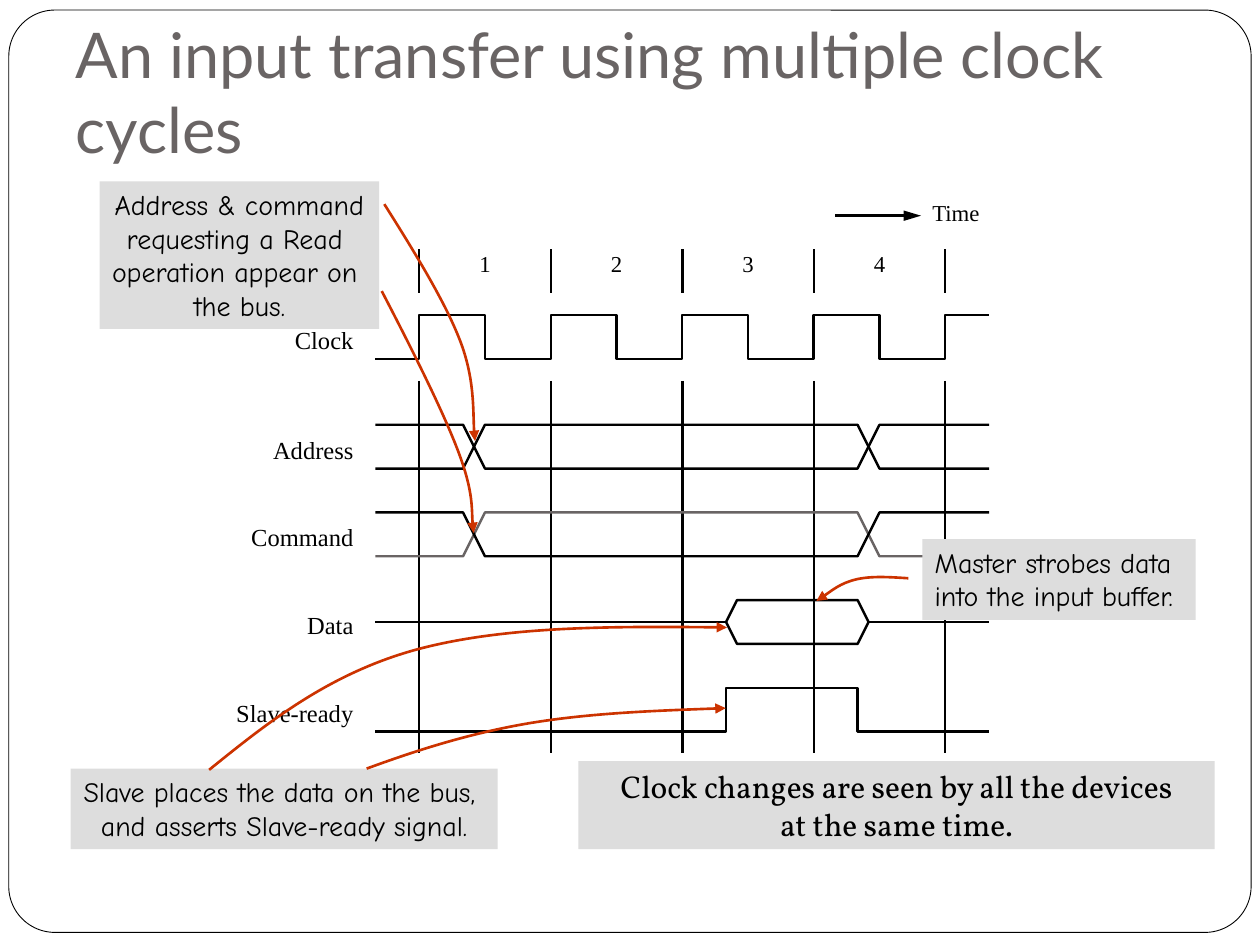
from lxml.etree import SubElement
from pptx import Presentation
from pptx.dml.color import RGBColor
from pptx.enum.shapes import MSO_CONNECTOR as CONNECTOR, MSO_SHAPE as SHAPE
from pptx.enum.text import MSO_ANCHOR as ANCHOR, MSO_AUTO_SIZE as AUTO, PP_ALIGN as ALIGN
from pptx.oxml.ns import qn
from pptx.util import Inches, Pt

COLORS = {"ink": "000000", "muted": "696464", "panel": "DDDDDD",
          "arrow": "CC3300", "paper": "FFFFFF"}
SERIF, HAND, DISPLAY, HEADING = "Times New Roman", "Comic Neue", "Vollkorn", "Lato"
SIGNAL_WIDTH = 1.39


def rgb(name):
    return RGBColor.from_string(COLORS[name])


def box(*lengths):
    return [Inches(length) for length in lengths]


def style_line(shape, color, width):
    shape.line.color.rgb = rgb(color)
    shape.line.width = Pt(width)


def add_arrowhead(shape, length="med"):
    SubElement(shape.line._get_or_add_ln(), qn("a:tailEnd"),
               type="triangle", w="med", len=length)


def write(frame, lines, font, size, color="ink", align=ALIGN.LEFT):
    for index, line in enumerate(lines):
        paragraph = frame.add_paragraph() if index else frame.paragraphs[0]
        paragraph.alignment = align
        run = paragraph.add_run()
        run.text = line
        run.font.name = font
        run.font.size = Pt(size)
        run.font.color.rgb = rgb(color)


def add_label(slide, text, left, top, width, height, size, align):
    frame = slide.shapes.add_textbox(left, top, width, height).text_frame
    frame.margin_left = frame.margin_right = frame.margin_top = frame.margin_bottom = 0
    frame.word_wrap = True
    write(frame, [text], SERIF, size, align=align)


def add_segment(slide, start, end):
    segment = slide.shapes.add_connector(CONNECTOR.STRAIGHT, *start, *end)
    style_line(segment, "ink", SIGNAL_WIDTH)
    SubElement(segment._element.spPr, qn("a:effectLst"))
    return segment


def add_outline(slide, points, color="ink", width=SIGNAL_WIDTH, close=False):
    builder = slide.shapes.build_freeform(*points[0])
    builder.add_line_segments(points[1:], close=close)
    outline = builder.convert_to_shape()
    outline.shadow.inherit = False
    outline.fill.background()
    style_line(outline, color, width)
    return outline


def add_curved_arrow(slide, points):
    arrow = add_outline(slide, points, "arrow", 1.5)
    lines = list(arrow._element.iter(qn("a:lnTo")))
    for start in range(0, len(lines), 3):
        curve = SubElement(lines[start].getparent(), qn("a:cubicBezTo"))
        for line in lines[start:start + 3]:
            curve.append(line[0])
            line.getparent().remove(line)
    add_arrowhead(arrow)


def add_frame(slide, left, top, width, height):
    frame = slide.shapes.add_shape(SHAPE.ROUNDED_RECTANGLE, left, top, width, height)
    frame.adjustments[0] = 0.05
    frame.shadow.inherit = False
    frame.fill.solid()
    frame.fill.fore_color.rgb = rgb("paper")
    style_line(frame, "ink", 0.5)
    slide.shapes._spTree.insert(2, frame._element)


def add_title(slide, left, top, width, height):
    title = slide.shapes.title
    title.left, title.top, title.width, title.height = left, top, width, height
    frame = title.text_frame
    frame.margin_left = frame.margin_right = frame.margin_bottom = Inches(0.1)
    frame.margin_top = Inches(0.05)
    frame.word_wrap = True
    frame.auto_size = AUTO.NONE
    frame.vertical_anchor = ANCHOR.BOTTOM
    write(frame, ["An input transfer using multiple clock cycles"], HEADING, 36, "muted")


def add_time_axis(slide, left, top, width, height):
    middle = top + height * 3 // 5
    shaft = add_segment(slide, (left, middle), (left + Inches(0.68), middle))
    add_arrowhead(shaft, "lg")
    label_left = left + Inches(0.77)
    add_label(slide, "Time", label_left, top, left + width - label_left, height,
              13, ALIGN.LEFT)


def add_timing_diagram(slide, left, top, width, height):
    columns, rows, cycle = 28, 23, 6

    def at(column, row):
        return int(left + width * column / columns), int(top + height * row / rows)

    def trace(*points, **options):
        add_outline(slide, [at(*point) for point in points], **options)

    def segment(start, end):
        add_segment(slide, at(*start), at(*end))

    edges = [2 + cycle * index for index in range(5)]
    for edge in edges:
        segment((edge, 0), (edge, 2))
        segment((edge, 6), (edge, rows))
    label_width = Inches(0.4)
    for number, edge in enumerate(edges[:-1], 1):
        center, label_top = at(edge + cycle / 2, 0)
        add_label(slide, str(number), center - label_width // 2, label_top,
                  label_width, Inches(0.22), 13, ALIGN.CENTER)

    clock = [(0, 5)]
    for edge in edges[:-1]:
        clock += [(edge, 5), (edge, 3), (edge + 3, 3), (edge + 3, 5)]
    trace(*clock, (edges[-1], 5), (edges[-1], 3), (columns, 3))

    for high, low_color in ((8, "ink"), (12, "muted")):
        low = high + 2
        for outer, inner, color in ((low, high, low_color), (high, low, "ink")):
            trace((0, outer), (4, outer), (5, inner), (22, inner), (23, outer),
                  (columns, outer), color=color)

    segment((0, 17), (16, 17))
    segment((22.5, 17), (columns, 17))
    trace((16, 17), (16.5, 16), (22, 16), (22.5, 17), (22, 18), (16.5, 18), close=True)
    trace((0, 22), (16, 22), (16, 20), (22, 20), (22, 22), (columns, 22))

    signals = {"Clock": 3, "Address": 8, "Command": 12, "Data": 16, "Slave-ready": 20}
    name_width = Inches(1.2)
    for name, row in signals.items():
        x, y = at(-1, row)
        add_label(slide, name, x - name_width, y + Inches(0.08), name_width,
                  Inches(0.23), 14, ALIGN.RIGHT)


def add_callout(slide, left, top, width, height, lines, arrows=(),
                font=HAND, size=16, align=ALIGN.CENTER):
    panel = slide.shapes.add_shape(SHAPE.RECTANGLE, left, top, width, height)
    panel.shadow.inherit = False
    panel.fill.solid()
    panel.fill.fore_color.rgb = rgb("panel")
    panel.line.fill.background()
    frame = panel.text_frame
    frame.word_wrap = False
    frame.auto_size = AUTO.SHAPE_TO_FIT_TEXT
    frame.vertical_anchor = ANCHOR.TOP
    write(frame, lines, font, size, align=align)
    for arrow in arrows:
        add_curved_arrow(slide, [(left + Inches(x), top + Inches(y)) for x, y in arrow])


def main():
    deck = Presentation()
    deck.slide_width, deck.slide_height = Inches(10), Inches(7.5)
    slide = deck.slides.add_slide(deck.slide_layouts[5])
    add_frame(slide, *box(0.07, 0.08, 9.86, 7.32))
    add_title(slide, *box(0.5, 0.5, 9.08, 0.92))
    add_timing_diagram(slide, *box(2.98, 1.98, 4.87, 4))
    add_time_axis(slide, *box(6.63, 1.58, 1.3, 0.22))
    add_callout(
        slide, *box(0.79, 1.44, 2.22, 1.17),
        ["Address & command", "requesting a Read ", "operation appear on ", "the bus."],
        [[(2.26, 0.18), (2.5, 0.56), (2.74, 0.95), (2.86, 1.26),
          (2.98, 1.57), (2.96, 1.93), (2.98, 2.06)],
         [(2.24, 0.87), (2.49, 1.35), (2.73, 1.83), (2.85, 2.15),
          (2.97, 2.47), (2.95, 2.69), (2.97, 2.79)]])
    add_callout(
        slide, *box(0.56, 6.1, 3.39, 0.64),
        ["Slave places the data on the bus, ", "and asserts Slave-ready signal."],
        [[(1.1, 0.01), (1.57, -0.37), (2.05, -0.75), (2.73, -0.94),
          (3.42, -1.13), (4.32, -1.13), (5.21, -1.12)],
         [(2.35, 0), (2.76, -0.15), (3.17, -0.28), (3.64, -0.36),
          (4.12, -0.44), (4.66, -0.46), (5.2, -0.48)]])
    add_callout(
        slide, *box(7.32, 4.28, 2.17, 0.64),
        ["Master strobes data", "into the input buffer."],
        [[(-0.11, 0.31), (-0.26, 0.3), (-0.41, 0.29), (-0.53, 0.32),
          (-0.65, 0.35), (-0.79, 0.46), (-0.84, 0.49)]],
        align=ALIGN.LEFT)
    add_callout(
        slide, *box(4.59, 6.04, 5.05, 0.7),
        ["Clock changes are seen by all the devices", "at the same time."],
        font=DISPLAY, size=18)
    deck.save("out.pptx")


if __name__ == "__main__":
    main()
